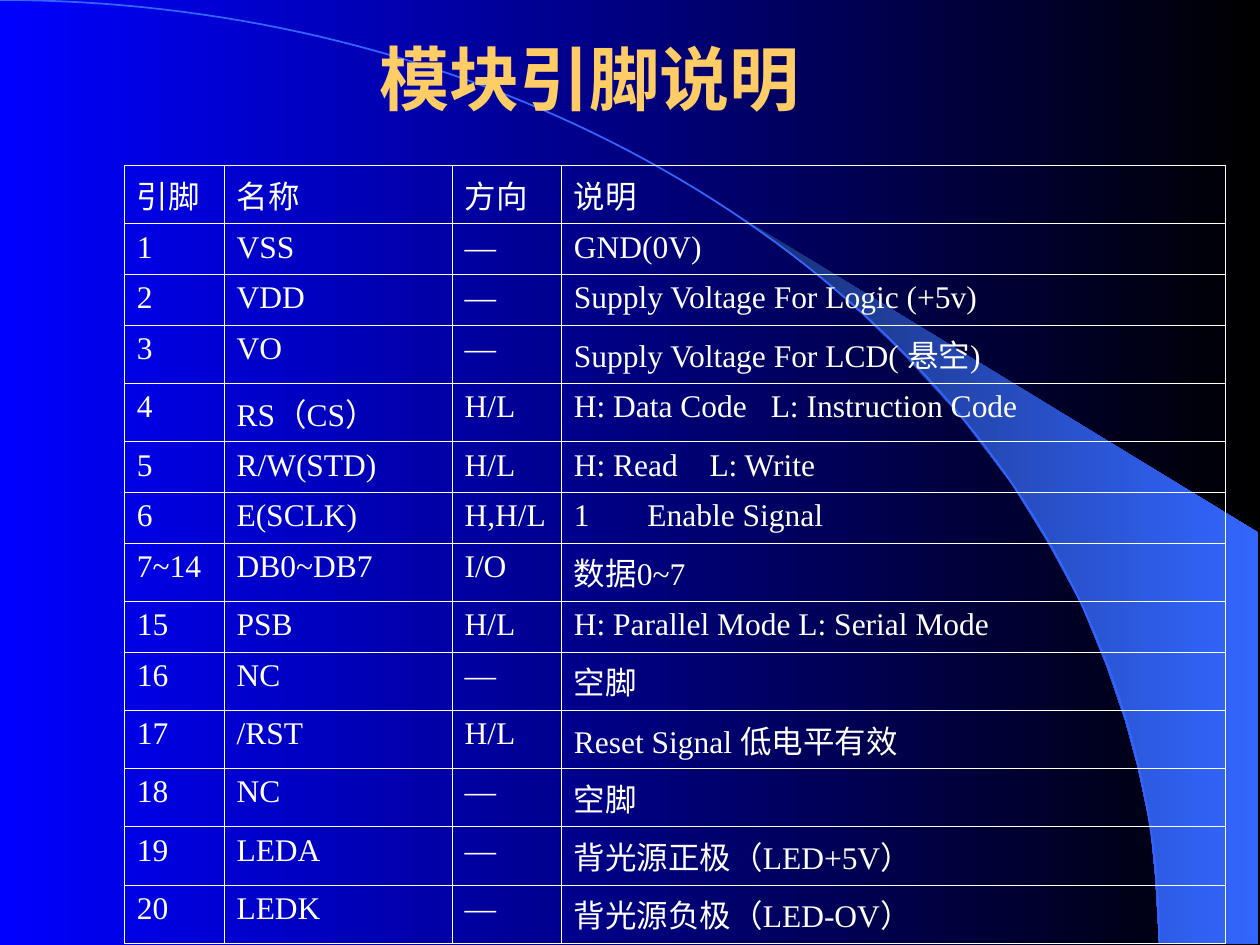
from math import cos, pi, sin

from lxml.etree import SubElement
from pptx import Presentation
from pptx.dml.color import RGBColor
from pptx.enum.text import MSO_ANCHOR, MSO_AUTO_SIZE, PP_ALIGN
from pptx.oxml import parse_xml
from pptx.oxml.ns import nsdecls, qn
from pptx.util import Pt

BLUE = RGBColor(0x00, 0x00, 0xFF)
BLACK = RGBColor(0x00, 0x00, 0x00)
NAVY = RGBColor(0x18, 0x2F, 0x76)
SKY = RGBColor(0x33, 0x66, 0xFF)
GOLD = RGBColor(0xFF, 0xCC, 0x66)
WHITE = RGBColor(0xFF, 0xFF, 0xFF)


def set_gradient(fill, start, end):
    """Fill from left to right."""
    fill.gradient()
    fill.gradient_angle = 0
    for stop, color in zip(fill.gradient_stops, (start, end)):
        stop.color.rgb = color


def add_outline(points, close):
    """Add a freeform through points given in Pt."""
    points = [(Pt(x), Pt(y)) for x, y in points]
    builder = s.shapes.build_freeform(*points[0])
    builder.add_line_segments(points[1:], close=close)
    sp = builder.convert_to_shape()
    sp.shadow.inherit = False
    return sp


prs = Presentation()
prs.slide_width, prs.slide_height = Pt(720), Pt(540)
s = prs.slides.add_slide(prs.slide_layouts[5])
set_gradient(s.background.fill, BLUE, BLACK)

# Beam of light
beam = add_outline([
    (662.4, 538.6), (719.3, 539.3), (719.3, 304.6), (424.1, 124.6),
    (449.3, 143.3), (470.2, 159.8), (493.2, 180), (515.5, 201.6),
    (548.6, 237.6), (578.2, 276.5), (599, 310.3), (617.8, 344.9),
    (632.2, 380.2), (643, 411.8), (650.2, 438.5), (657.4, 472.3),
    (660.2, 501.1)], close=True)
set_gradient(beam.fill, NAVY, SKY)
beam.line.fill.background()

# Quarter ellipse from the top left corner to the bottom edge
STEPS = 90
angles = [i * pi / 2 / STEPS for i in range(STEPS + 1)]
arc = add_outline([(662.4 * sin(a), 539.3 * (1 - cos(a))) for a in angles], close=False)
arc.fill.background()
arc.line.color.rgb = SKY
arc.line.width = Pt(1)

# Title, brought in front of the arc
title = s.shapes.title
title.element.getparent().append(title.element)
title.left, title.top, title.width, title.height = Pt(31), Pt(15), Pt(612), Pt(59)
tf = title.text_frame
tf.auto_size = MSO_AUTO_SIZE.NONE
tf.vertical_anchor = MSO_ANCHOR.MIDDLE
p = tf.paragraphs[0]
p.alignment = PP_ALIGN.CENTER
r = p.add_run()
r.text = "模块引脚说明"
r.font.name, r.font.size, r.font.bold = "Arial", Pt(40), True
r.font.color.rgb = GOLD

# Pin table
pins = [
    ("引脚", "名称", "方向", "说明"),
    ("1", "VSS", "—", "GND(0V)"),
    ("2", "VDD", "—", "Supply Voltage For Logic (+5v)"),
    ("3", "VO", "—", "Supply Voltage For LCD( 悬空)"),
    ("4", "RS（CS）", "H/L", "H: Data Code\tL: Instruction Code"),
    ("5", "R/W(STD)", "H/L", "H: Read\tL: Write"),
    ("6", "E(SCLK)", "H,H/L", "Enable Signal"),
    ("7~14", "DB0~DB7", "I/O", "数据0~7"),
    ("15", "PSB", "H/L", "H: Parallel Mode L: Serial Mode"),
    ("16", "NC", "—", "空脚"),
    ("17", "/RST", "H/L", "Reset Signal 低电平有效"),
    ("18", "NC", "—", "空脚"),
    ("19", "LEDA", "—", "背光源正极（LED+5V）"),
    ("20", "LEDK", "—", "背光源负极（LED-OV）"),
]
col_widths = [57, 130.3, 62.5, 379.5]
tab_stops = {"4": 112.5, "5": 77.5}
ROW_HEIGHT = 29

table = s.shapes.add_table(len(pins), len(col_widths), Pt(71), Pt(94.5),
                           Pt(sum(col_widths)), Pt(ROW_HEIGHT * len(pins))).table
table.first_row = table.horz_banding = False
for column, width in zip(table.columns, col_widths):
    column.width = Pt(width)

for i, pin in enumerate(pins):
    table.rows[i].height = Pt(ROW_HEIGHT)
    for j, text in enumerate(pin):
        cell = table.cell(i, j)
        cell.fill.background()
        cell.margin_left = cell.margin_right = Pt(7.2)
        cell.margin_top = cell.margin_bottom = Pt(3.6)
        cell.vertical_anchor = MSO_ANCHOR.TOP if i else MSO_ANCHOR.MIDDLE
        tcPr = cell._tc.get_or_add_tcPr()
        for k, side in enumerate(("lnL", "lnR", "lnT", "lnB")):
            tcPr.insert(k, parse_xml(
                f'<a:{side} {nsdecls("a")} w="{Pt(0.45)}"><a:solidFill>'
                f'<a:srgbClr val="{WHITE}"/></a:solidFill></a:{side}>'))

        p = cell.text_frame.paragraphs[0]
        pPr = p._p.get_or_add_pPr()
        if text == "Enable Signal":
            pPr.set("marL", str(Pt(42)))
            pPr.set("indent", str(-Pt(42)))
            SubElement(pPr, qn("a:buAutoNum"), type="arabicPlain")
        elif "\t" in text:
            tabs = SubElement(pPr, qn("a:tabLst"))
            SubElement(tabs, qn("a:tab"), pos=str(Pt(tab_stops[pin[0]])), algn="l")
        r = p.add_run()
        r.text = text
        r.font.name, r.font.size = "Times New Roman", Pt(18)
        r.font.color.rgb = WHITE

prs.save("out.pptx")
